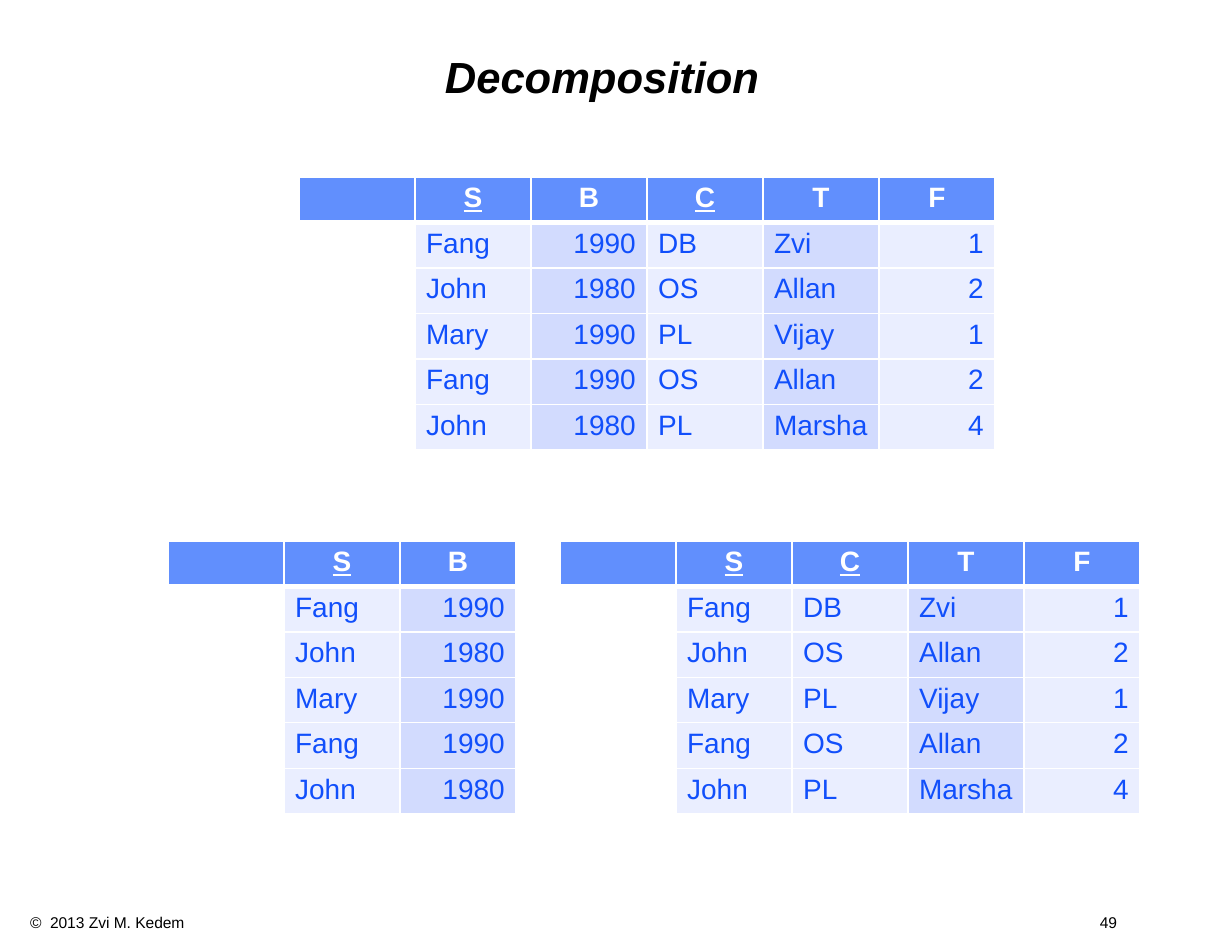
from lxml import etree
from pptx import Presentation
from pptx import util as u
from pptx.dml.color import RGBColor
from pptx.enum import text
from pptx.oxml.ns import qn

PX = 914400 // 112
BLACK, WHITE, BLUE = "000000", "FFFFFF", "114FFB"
HEAD, PALE, DARK = "618FFD", "EAEEFF", "D2DBFE"
COL, TALL, LOW = 116, 273, 40

names = "SBCTF"
keys, nums, shade = "SC", "BF", "BT"
data = [
    ("Fang", "1990", "DB", "Zvi", "1"),
    ("John", "1980", "OS", "Allan", "2"),
    ("Mary", "1990", "PL", "Vijay", "1"),
    ("Fang", "1990", "OS", "Allan", "2"),
    ("John", "1980", "PL", "Marsha", "4"),
]
# attributes shown, left, top, whether the fourth row is lower
tables = [
    ("SBCTF", 299, 177, False),
    ("SB", 168, 541, True),
    ("SCTF", 560, 541, True),
]


def style(font, size, color, bold=False):
    font.name, font.size, font.bold = "Arial", u.Pt(size), bold
    font.color.rgb = RGBColor.from_string(color)


def border(cell, side, width):
    line = etree.SubElement(cell._tc.get_or_add_tcPr(), qn("a:ln" + side),
                            w=str(u.Pt(width)))
    fill = etree.SubElement(line, qn("a:solidFill"))
    etree.SubElement(fill, qn("a:srgbClr"), val=WHITE)


prs = Presentation()
prs.slide_width, prs.slide_height = u.Inches(11), u.Inches(8.5)
slide = prs.slides.add_slide(prs.slide_layouts[5])

# Title
title = slide.shapes.title
title.left, title.top, title.width, title.height = (
    n * PX for n in (84, 28, 1036, 103))
frame = title.text_frame
frame.text = "Decomposition"
frame.vertical_anchor = text.MSO_ANCHOR.MIDDLE
para = frame.paragraphs[0]
para.alignment = text.PP_ALIGN.CENTER
para.line_spacing = 0.9
style(para.font, 28, BLACK, True)
para.font.italic = True

# The relation and its two projections
for cols, left, top, short in tables:
    grid = slide.shapes.add_table(
        len(data) + 1, len(cols) + 1, left * PX, top * PX,
        (len(cols) + 1) * COL * PX, TALL * PX).table
    grid.horz_banding = False
    if short:
        grid.rows[3].height = LOW * PX
    for r in range(len(data) + 1):
        for c, name in enumerate(" " + cols):
            cell = grid.cell(r, c)
            for side in "LRTB":
                thick = (r, side) in ((0, "B"), (1, "T"))
                border(cell, side, 3 if thick else 1)
            if r == 0:
                fill = HEAD
            elif c == 0:
                fill = WHITE
            else:
                fill = DARK if name in shade else PALE
            cell.fill.solid()
            cell.fill.fore_color.rgb = RGBColor.from_string(fill)
            if c == 0:
                continue
            cell.text = data[r - 1][names.index(name)] if r else name
            para = cell.text_frame.paragraphs[0]
            if r == 0:
                para.alignment = text.PP_ALIGN.CENTER
                para.font.underline = name in keys
            elif name in nums:
                para.alignment = text.PP_ALIGN.RIGHT
            style(para.font, 18, BLUE if r else WHITE, r == 0)

# Footer with the page number at a right tab
foot = slide.shapes.add_textbox(19 * PX, 907 * PX, 1158 * PX, 30 * PX)
frame = foot.text_frame
frame.word_wrap = True
para = frame.paragraphs[0]
para.text = "©  2013 Zvi M. Kedem\t49"
tabs = etree.SubElement(para._p.get_or_add_pPr(), qn("a:tabLst"))
etree.SubElement(tabs, qn("a:tab"), pos=str(1087 * PX), algn="r")
style(para.font, 10, BLACK)

prs.save("out.pptx")
